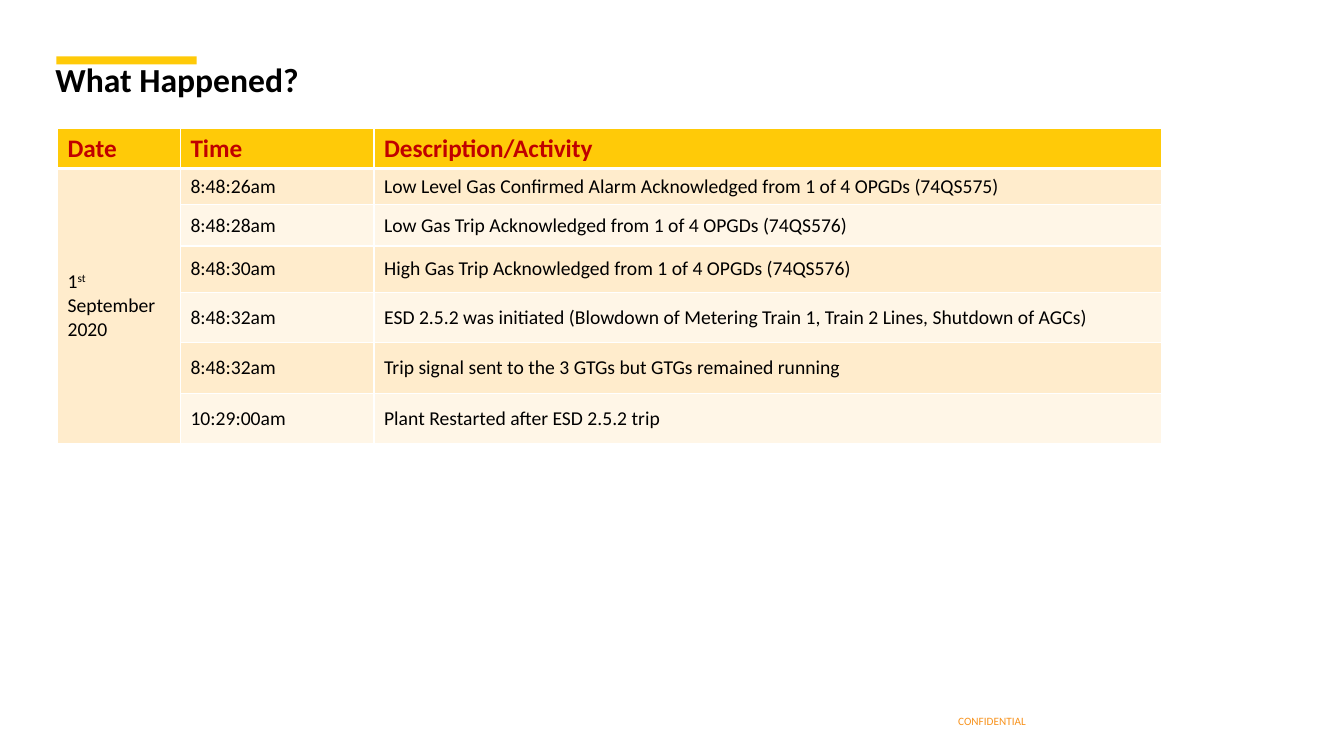
from lxml import etree
from pptx import Presentation
from pptx.dml.color import RGBColor
from pptx.enum.shapes import MSO_SHAPE
from pptx.enum.text import MSO_ANCHOR, MSO_AUTO_SIZE, PP_ALIGN
from pptx.oxml.ns import qn
from pptx.util import Inches, Pt

RECT = MSO_SHAPE.RECTANGLE
MIDDLE = MSO_ANCHOR.MIDDLE
LEFT, CENTER = PP_ALIGN.LEFT, PP_ALIGN.CENTER
NO_FIT = MSO_AUTO_SIZE.NONE

# Content
TITLE = "What Happened?"
FOOTER = "CONFIDENTIAL"
HEADERS = ["Date", "Time", "Description/Activity"]
DATE_RUNS = [("1", False), ("st", True), (" September 2020", False)]
EVENTS = [
    ("8:48:26am", "Low Level Gas Confirmed Alarm Acknowledged from 1 of 4 OPGDs (74QS575)"),
    ("8:48:28am", "Low Gas Trip Acknowledged from 1 of 4 OPGDs (74QS576)"),
    ("8:48:30am", "High Gas Trip Acknowledged from 1 of 4 OPGDs (74QS576)"),
    ("8:48:32am", "ESD 2.5.2 was initiated (Blowdown of Metering Train 1, Train 2 Lines, "
                  "Shutdown of AGCs)"),
    ("8:48:32am", "Trip signal sent to the 3 GTGs but GTGs remained running"),
    ("10:29:00am", "Plant Restarted after ESD 2.5.2 trip"),
]

# Style and grid, in inches
FONT = "Calibri"
COLORS = {"gold": "FFCA08", "red": "C00000", "black": "000000", "white": "FFFFFF",
          "orange": "F8931D", "band_dark": "FFECCC", "band_light": "FFF6E7"}
COL_WIDTHS = [1.22, 1.92, 7.81]
ROW_HEIGHTS = [0.4, 0.36, 0.41, 0.46, 0.5, 0.5, 0.5]
TABLE_LEFT, TABLE_TOP = 0.57, 1.27


def rgb(name):
    return RGBColor.from_string(COLORS[name])


def add_run(p, text, size, color, bold=False, superscript=False):
    r = p.add_run()
    r.text = text
    r.font.name, r.font.size, r.font.bold = FONT, Pt(size), bold
    r.font.color.rgb = rgb(color)
    if superscript:
        r.font._element.set("baseline", "30000")


def style_cell(cell, fill, bottom_width):
    tcPr = cell._tc.get_or_add_tcPr()
    for side, width in (("L", 1), ("R", 1), ("T", 1), ("B", bottom_width)):
        ln = etree.SubElement(tcPr, qn(f"a:ln{side}"), w=str(Pt(width)))
        solid = etree.SubElement(ln, qn("a:solidFill"))
        etree.SubElement(solid, qn("a:srgbClr"), val=COLORS["white"])
    cell.fill.solid()
    cell.fill.fore_color.rgb = rgb(fill)
    cell.vertical_anchor = MIDDLE


def add_title(s):
    sp = s.shapes.title
    sp.left, sp.top, sp.width, sp.height = map(Inches, (0.45, 0.63, 12.19, 0.36))
    tf = sp.text_frame
    tf.auto_size, tf.vertical_anchor, tf.word_wrap = NO_FIT, MIDDLE, True
    p = tf.paragraphs[0]
    p.alignment, p.line_spacing = LEFT, 0.9
    add_run(p, TITLE, 24, "black", bold=True)


def add_accent(s):
    sp = s.shapes.add_shape(RECT, *map(Inches, (0.56, 0.56, 1.39, 0.08)))
    sp.shadow.inherit = False
    sp.fill.solid()
    sp.fill.fore_color.rgb = rgb("gold")
    sp.line.fill.background()


def add_footer(s):
    tf = s.shapes.add_textbox(*map(Inches, (9.25, 7.09, 1.18, 0.19))).text_frame
    tf.word_wrap = True
    tf.margin_left = tf.margin_right = tf.margin_top = 0
    tf.margin_bottom = Inches(0.05)
    p = tf.paragraphs[0]
    p.alignment = CENTER
    add_run(p, FOOTER, 8, "orange")


def add_timeline(s):
    frame = s.shapes.add_table(
        len(ROW_HEIGHTS), len(COL_WIDTHS), Inches(TABLE_LEFT), Inches(TABLE_TOP),
        Inches(sum(COL_WIDTHS)), Inches(sum(ROW_HEIGHTS)))
    table = frame.table
    for col, width in zip(table.columns, COL_WIDTHS):
        col.width = Inches(width)
    for row, height in zip(table.rows, ROW_HEIGHTS):
        row.height = Inches(height)

    # Header row
    for cell, text in zip(table.rows[0].cells, HEADERS):
        style_cell(cell, "gold", 3)
        add_run(cell.text_frame.paragraphs[0], text, 18, "red", bold=True)

    # Event rows in alternating bands
    for i, event in enumerate(EVENTS, start=1):
        band = "band_dark" if i % 2 else "band_light"
        for j in range(len(COL_WIDTHS)):
            style_cell(table.cell(i, j), band, 1)
        for j, text in enumerate(event, start=1):
            add_run(table.cell(i, j).text_frame.paragraphs[0], text, 14, "black")

    # One date for all events
    date = table.cell(1, 0)
    date.merge(table.cell(len(EVENTS), 0))
    for text, superscript in DATE_RUNS:
        add_run(date.text_frame.paragraphs[0], text, 14, "black", superscript=superscript)


def main():
    prs = Presentation()
    prs.slide_width, prs.slide_height = Inches(13.33), Inches(7.5)
    s = prs.slides.add_slide(prs.slide_layouts[5])
    add_accent(s)
    add_footer(s)
    add_title(s)
    add_timeline(s)
    prs.save("out.pptx")


if __name__ == "__main__":
    main()
